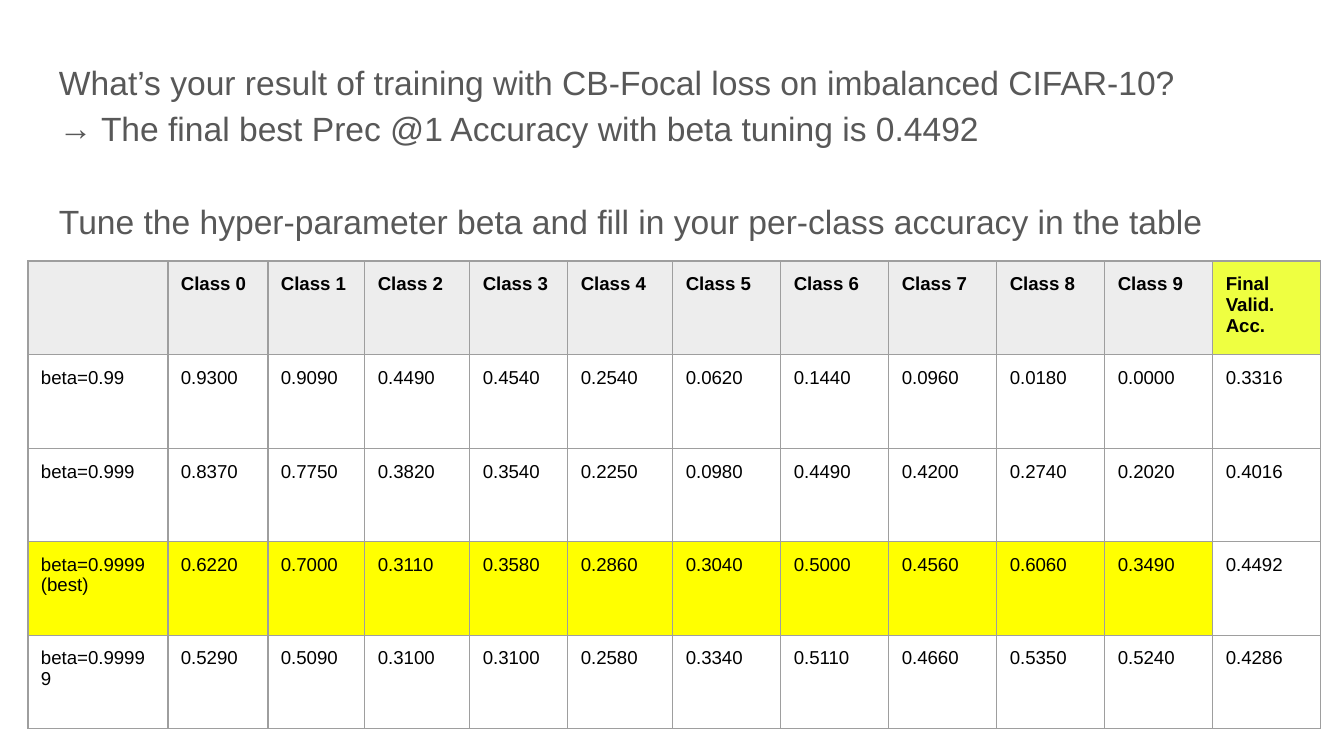
from dataclasses import dataclass

import lxml.etree
import pptx
import pptx.dml.color
import pptx.enum.text
import pptx.oxml.ns
import pptx.util

EMU_PER_PIXEL = 914400 / 134.4


@dataclass(frozen=True)
class Theme:
    font: str = "Arial"
    body_size: int = 18
    cell_size: int = 10
    body: str = "585858"
    ink: str = "000000"
    border: str = "9E9E9E"
    plain: str = "FFFFFF"
    header: str = "EDEDED"
    final: str = "EEFF41"
    best: str = "FFFF00"


@dataclass(frozen=True)
class BodyLine:
    text: str
    bullet: str = ""
    space_before: int = 0


@dataclass(frozen=True)
class ResultRow:
    label: str
    accuracies: str
    final: str
    height: int
    best: bool = False


THEME = Theme()
INSET = 13
BULLET_INDENT = 42
BODY_LINES = [
    BodyLine("What’s your result of training with CB-Focal loss on imbalanced CIFAR-10?"),
    BodyLine("The final best Prec @1 Accuracy with beta tuning is 0.4492", bullet="→"),
    BodyLine("Tune the hyper-parameter beta and fill in your per-class accuracy in the table",
             space_before=46),
]
HEADER_HEIGHT = 89
COLUMN_WIDTHS = [140, 100, 97, 105, 98, 105] + [108] * 6
RESULTS = [
    ResultRow("beta=0.99", "0.9300 0.9090 0.4490 0.4540 0.2540 0.0620 0.1440 0.0960 0.0180 0.0000",
              "0.3316", 94),
    ResultRow("beta=0.999", "0.8370 0.7750 0.3820 0.3540 0.2250 0.0980 0.4490 0.4200 0.2740 0.2020",
              "0.4016", 93),
    ResultRow("beta=0.9999\n(best)",
              "0.6220 0.7000 0.3110 0.3580 0.2860 0.3040 0.5000 0.4560 0.6060 0.3490",
              "0.4492", 94, best=True),
    ResultRow("beta=0.99999", "0.5290 0.5090 0.3100 0.3100 0.2580 0.3340 0.5110 0.4660 0.5350 0.5240",
              "0.4286", 93),
]


def px(length: float) -> pptx.util.Emu:
    return pptx.util.Emu(round(length * EMU_PER_PIXEL))


def rgb(color: str) -> pptx.dml.color.RGBColor:
    return pptx.dml.color.RGBColor.from_string(color)


def add_xml(parent, tag: str, **attributes: str):
    return lxml.etree.SubElement(parent, pptx.oxml.ns.qn(tag), attributes)


def write(para, text: str, *, size: int, color: str, bold: bool = False) -> None:
    """Fill a paragraph; a vertical tab in the text is a line break."""
    for index, part in enumerate(text.split("\v")):
        if index:
            para.add_line_break()
        span = para.add_run()
        span.text = part
        span.font.name = THEME.font
        span.font.size = pptx.util.Pt(size)
        span.font.bold = bold
        span.font.color.rgb = rgb(color)


def set_bullet(para, bullet: str) -> None:
    properties = para._p.get_or_add_pPr()
    properties.set("marL", str(px(BULLET_INDENT)))
    properties.set("indent", str(-px(BULLET_INDENT)))
    add_xml(add_xml(properties, "a:buClr"), "a:srgbClr", val=THEME.body)
    add_xml(properties, "a:buFont", typeface=THEME.font)
    add_xml(properties, "a:buChar", char=bullet)


def set_insets(target) -> None:
    target.margin_left = target.margin_right = px(INSET)
    target.margin_top = target.margin_bottom = px(INSET)


def set_borders(cell) -> None:
    properties = cell._tc.get_or_add_tcPr()
    for position, side in enumerate(("a:lnL", "a:lnR", "a:lnT", "a:lnB")):
        line = add_xml(properties, side, w=str(pptx.util.Pt(0.75)))
        add_xml(add_xml(line, "a:solidFill"), "a:srgbClr", val=THEME.border)
        properties.insert(position, line)


def fill_cell(cell, text: str, *, fill: str, bold: bool = False) -> None:
    set_insets(cell)
    cell.vertical_anchor = pptx.enum.text.MSO_ANCHOR.TOP
    cell.fill.solid()
    cell.fill.fore_color.rgb = rgb(fill)
    set_borders(cell)
    if not text:
        return
    frame = cell.text_frame
    for index, line in enumerate(text.split("\n")):
        para = frame.add_paragraph() if index else frame.paragraphs[0]
        write(para, line, size=THEME.cell_size, color=THEME.ink, bold=bold)


def add_body(page, lines: list[BodyLine]) -> None:
    box = page.shapes.add_textbox(px(46), px(43), px(1252), px(628))
    frame = box.text_frame
    frame.word_wrap = True
    set_insets(frame)
    for index, line in enumerate(lines):
        para = frame.add_paragraph() if index else frame.paragraphs[0]
        para.line_spacing = 1.15
        para.space_before = px(line.space_before)
        if line.bullet:
            set_bullet(para, line.bullet)
        write(para, line.text, size=THEME.body_size, color=THEME.body)


def add_results(page, results: list[ResultRow]) -> None:
    heights = [HEADER_HEIGHT] + [result.height for result in results]
    table = page.shapes.add_table(len(heights), len(COLUMN_WIDTHS), px(28), px(261),
                                  px(sum(COLUMN_WIDTHS)), px(sum(heights))).table
    for column, width in zip(table.columns, COLUMN_WIDTHS):
        column.width = px(width)
    for row, height in zip(table.rows, heights):
        row.height = px(height)

    # Header row
    titles = [""] + [f"Class {number}" for number in range(10)] + ["Final\vValid.\nAcc."]
    for index, title in enumerate(titles):
        fill = THEME.final if title == titles[-1] else THEME.header
        fill_cell(table.cell(0, index), title, fill=fill, bold=True)

    # One row per beta, the best one highlighted up to its final accuracy
    for row_index, result in enumerate(results, start=1):
        fill = THEME.best if result.best else THEME.plain
        for index, text in enumerate([result.label, *result.accuracies.split()]):
            fill_cell(table.cell(row_index, index), text, fill=fill)
        fill_cell(table.cell(row_index, len(titles) - 1), result.final, fill=THEME.plain)


# Build the deck
deck = pptx.Presentation()
deck.slide_width, deck.slide_height = px(1344), px(756)
page = deck.slides.add_slide(deck.slide_layouts[6])
add_body(page, BODY_LINES)
add_results(page, RESULTS)
deck.save("out.pptx")
